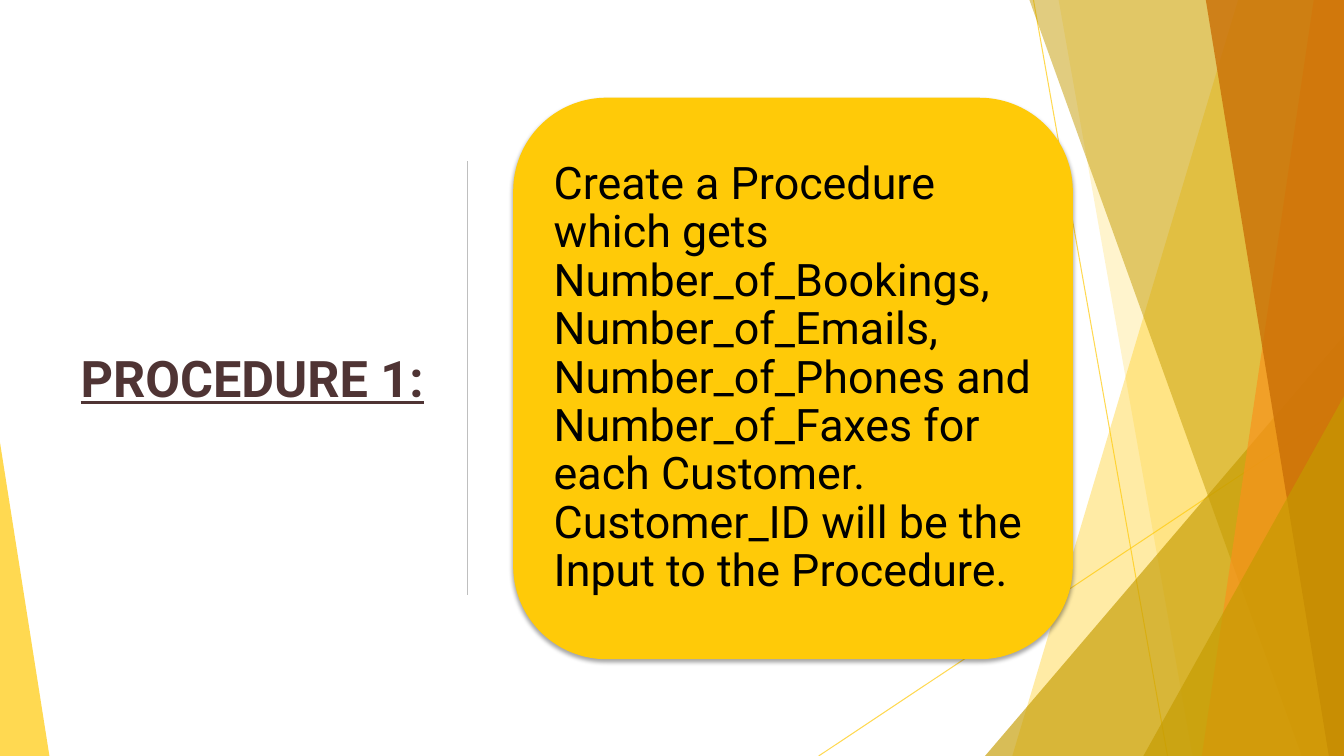
from lxml import etree
from pptx import Presentation
from pptx.dml.color import RGBColor
from pptx.enum.shapes import MSO_CONNECTOR, MSO_SHAPE
from pptx.enum.text import MSO_ANCHOR, PP_ALIGN
from pptx.oxml.ns import qn
from pptx.util import Inches, Pt

STRAIGHT = MSO_CONNECTOR.STRAIGHT
TRIANGLE, ROUNDED = MSO_SHAPE.ISOSCELES_TRIANGLE, MSO_SHAPE.ROUNDED_RECTANGLE
MIDDLE, LEFT = MSO_ANCHOR.MIDDLE, PP_ALIGN.LEFT
W, H = 13.33, 7.5
GOLD, OLIVE, ORANGE, RUST = "FFCA08", "C59B00", "F8931D", "CA6F06"


def paint(color_format, color, opacity=100):
    color_format.rgb = RGBColor.from_string(color)
    if opacity < 100:
        for clr in color_format._xFill.iter(qn("a:srgbClr")):
            etree.SubElement(clr, qn("a:alpha"), val=str(opacity * 1000))


def write(sp, text, inset, fmt, color):
    tf = sp.text_frame
    tf.word_wrap = True
    tf.vertical_anchor = MIDDLE
    for side in ("left", "top", "right", "bottom"):
        setattr(tf, f"margin_{side}", Inches(inset))
    p = tf.paragraphs[0]
    p.alignment = LEFT
    r = p.add_run()
    r.text = text
    for name, value in fmt.items():
        setattr(r.font, name, value)
    paint(r.font.color, color)
    return p


prs = Presentation()
prs.slide_width, prs.slide_height = Inches(W), Inches(H)
s = prs.slides.add_slide(prs.slide_layouts[5])

lines = [
    (10.25, 0, 11.58, H, GOLD, 0.75, 70),
    (W, 4.03, 8.12, H, GOLD, 0.75, 70),
    (4.64, 1.6, 4.64, 5.9, "BFBFBF", 0.75, 100),
]
for x1, y1, x2, y2, color, width, opacity in lines:
    c = s.shapes.add_connector(STRAIGHT, Inches(x1), Inches(y1), Inches(x2), Inches(y2))
    c.line.width = Pt(width)
    c.line.fill.solid()
    c.line.color.rgb = RGBColor.from_string(color)
    for clr in c.line._ln.iter(qn("a:srgbClr")):
        etree.SubElement(clr, qn("a:alpha"), val=str(opacity * 1000))
    etree.SubElement(c._element.spPr, qn("a:effectLst"))

facets = [
    ("band", (12.28, 10.04), GOLD, 36),
    ("band", (10.5, 11.83), GOLD, 20),
    ("triangle", (9.77, 3.33, 3.56, 1), OLIVE, 66),
    ("band", (10.21, 12.91), OLIVE, 50),
    ("band", (13.03, 11.92), ORANGE, 70),
    ("band", (11.96, 13.18), RUST, 80),
    ("triangle", (11.34, 3.93, 1.99, 1), OLIVE, 66),
    ("triangle", (0, 4.39, 0.49, 0), GOLD, 70),
]
for kind, place, color, opacity in facets:
    if kind == "band":
        top_x, bottom_x = place
        fb = s.shapes.build_freeform(Inches(top_x), 0)
        corners = [(W, 0), (W, H), (bottom_x, H)]
        fb.add_line_segments([(Inches(x), Inches(y)) for x, y in corners])
        sp = fb.convert_to_shape()
    else:
        x, y, w, apex = place
        sp = s.shapes.add_shape(TRIANGLE, Inches(x), Inches(y), Inches(w), Inches(H - y))
        sp.adjustments[0] = apex
    sp.shadow.inherit = False
    sp.line.fill.background()
    sp.fill.solid()
    sp.fill.fore_color.rgb = RGBColor.from_string(color)
    for clr in sp._element.spPr.iter(qn("a:srgbClr")):
        etree.SubElement(clr, qn("a:alpha"), val=str(opacity * 1000))

title = s.shapes.title
title.left, title.top, title.width, title.height = map(Inches, (0.7, 0.89, 3.68, 5.71))
title_fmt = {"name": "Roboto", "size": Pt(36), "bold": True, "underline": True}
write(title, "PROCEDURE 1:", 0.1, title_fmt, "4F3434")

card = s.shapes.add_shape(ROUNDED, Inches(5.09), Inches(0.97), Inches(5.55), Inches(5.57))
card.shadow.inherit = False
card.line.fill.background()
card.fill.solid()
paint(card.fill.fore_color, GOLD)
effects = card._element.spPr.find(qn("a:effectLst"))
shadow = etree.SubElement(effects, qn("a:outerShdw"), blurRad=str(Pt(3)), dist=str(Pt(2)),
                          dir="5400000", rotWithShape="0")
clr = etree.SubElement(shadow, qn("a:srgbClr"), val="000000")
etree.SubElement(clr, qn("a:alpha"), val="35000")
p = write(card, "Create a Procedure which gets Number_of_Bookings, Number_of_Emails, "
          "Number_of_Phones and Number_of_Faxes for each Customer. "
          "Customer_ID will be the Input to the Procedure.",
          0.13, {"name": "Roboto", "size": Pt(32)}, "000000")
p.line_spacing = 0.9

prs.save("out.pptx")
